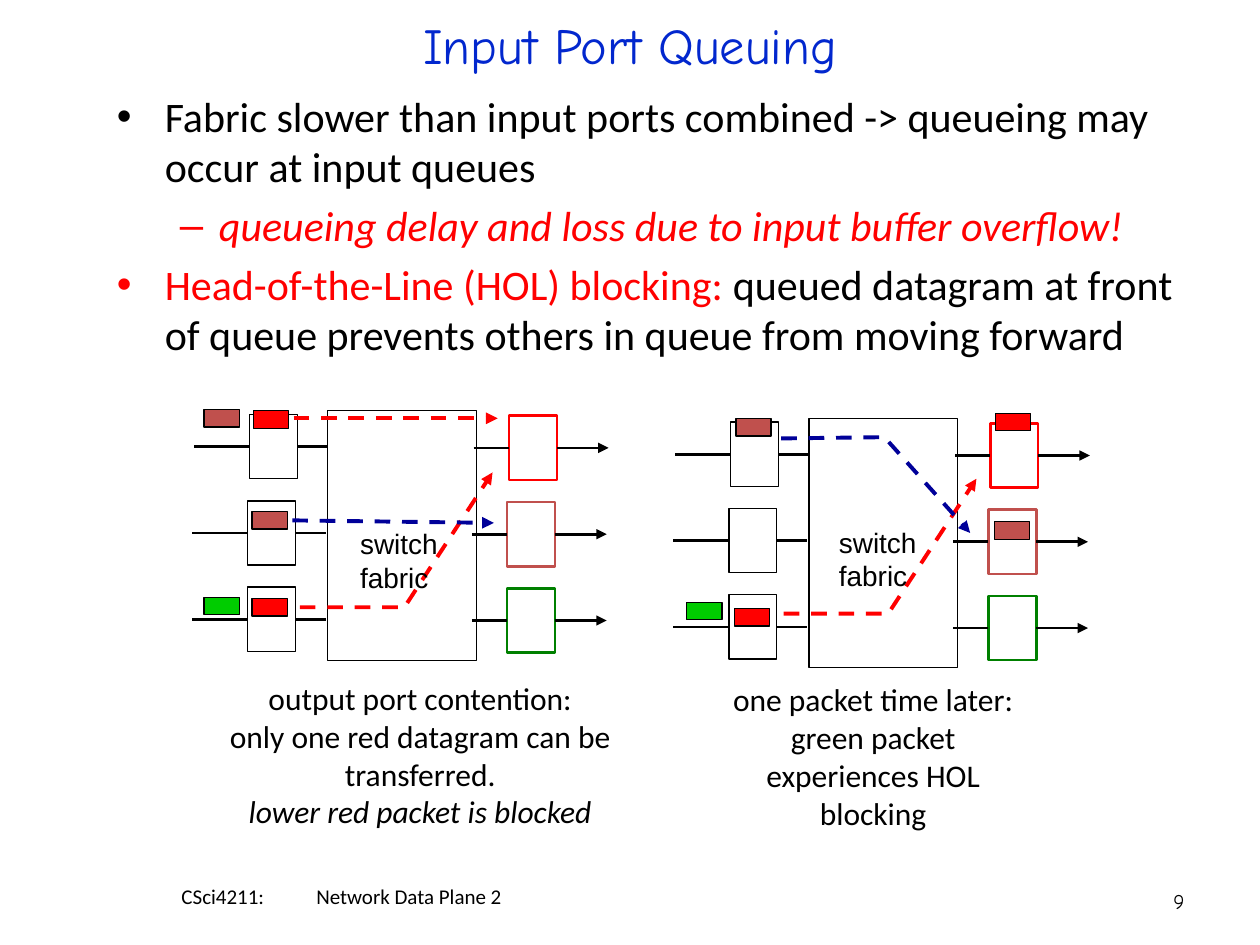
"""Build the slide on input port queuing in a packet switch."""
from typing import Any, NamedTuple

import lxml.etree
import pptx
import pptx.dml.color
import pptx.enum.dml
import pptx.enum.shapes
import pptx.enum.text
import pptx.oxml.ns
import pptx.util

RGB = pptx.dml.color.RGBColor
BLACK = RGB(0x00, 0x00, 0x00)
WHITE = RGB(0xFF, 0xFF, 0xFF)
RED = RGB(0xFF, 0x00, 0x00)
BRICK = RGB(0xC0, 0x50, 0x4D)
GREEN = RGB(0x00, 0x80, 0x00)
LIME = RGB(0x00, 0xCC, 0x00)
NAVY = RGB(0x00, 0x00, 0x99)
BLUE = RGB(0x02, 0x27, 0xCE)

COLS, ROWS = 100, 75
CELL = pptx.util.Inches(10) / COLS
PORT = (3.8, 5.1)
PACKET = (2.8, 1.4)
FABRIC = (11.8, 19.8)
PITCH = 6.85
ALIGN = pptx.enum.text.PP_ALIGN
ANCHOR = pptx.enum.text.MSO_ANCHOR
Point = tuple[float, float]


class Run(NamedTuple):
    """A stretch of text in one colour and slant."""
    text: str
    color: RGB = BLACK
    italic: bool = False


class Para(NamedTuple):
    """A paragraph with an optional bullet, indent and tab stop, in columns."""
    runs: list[Run]
    bullet: str = ""
    left: float = 0
    hang: float = 0
    tab: float = 0


class Label(NamedTuple):
    """A text box placed on the grid."""
    area: tuple[float, float, float, float]
    paras: list[Para]
    size: float
    face: str = "Calibri"
    align: Any = ALIGN.CENTER
    frame: dict[str, Any] = {}


class Packet(NamedTuple):
    """A datagram waiting at a place on the grid."""
    spot: Point
    color: RGB


class Flow(NamedTuple):
    """A dashed arrow through the given points."""
    points: list[Point]
    color: RGB


class Switch(NamedTuple):
    """A switch with its fabric corner, packets, flows and name."""
    corner: Point
    packets: list[Packet]
    flows: list[Flow]
    name: Point


def grid(*cells: float) -> list[int]:
    """Turn grid cells into slide lengths."""
    return [round(cell * CELL) for cell in cells]


def tag(parent: Any, name: str, **values: str) -> Any:
    """Add a drawing element below a parent."""
    return lxml.etree.SubElement(parent, pptx.oxml.ns.qn(name), values)


def apply(target: Any, values: dict[str, Any]) -> None:
    """Set each named value on the target."""
    for key, value in values.items():
        setattr(target, key, value)


def write(shapes: Any, label: Label) -> None:
    """Draw a text box."""
    frame = shapes.add_textbox(*grid(*label.area)).text_frame
    apply(frame, {"word_wrap": True, **label.frame})
    for index, item in enumerate(label.paras):
        para = frame.add_paragraph() if index else frame.paragraphs[0]
        para.alignment = label.align
        props = para._p.get_or_add_pPr()
        if item.bullet:
            para.space_before = pptx.util.Pt(label.size * 0.2)
            left, hang = grid(item.left, -item.hang)
            props.set("marL", str(left))
            props.set("indent", str(hang))
            tag(props, "a:buFont", typeface="Arial")
            tag(props, "a:buChar", char=item.bullet)
        if item.tab:
            stops = tag(props, "a:tabLst")
            tag(stops, "a:tab", pos=str(grid(item.tab)[0]), algn="l")
        for part in item.runs:
            run = para.add_run()
            run.text = part.text
            apply(run.font, {"size": pptx.util.Pt(label.size),
                             "name": label.face, "italic": part.italic})
            run.font.color.rgb = part.color


def block(shapes: Any, spot: Point, size: Point, fill: RGB = WHITE,
          edge: RGB = BLACK, width: float = 0.75) -> Any:
    """Draw a filled box."""
    kind = pptx.enum.shapes.MSO_SHAPE.RECTANGLE
    box = shapes.add_shape(kind, *grid(*spot, *size))
    box.shadow.inherit = False
    box.fill.solid()
    box.fill.fore_color.rgb = fill
    box.line.color.rgb = edge
    box.line.width = pptx.util.Pt(width)
    return box


def stroke(shape: Any, color: RGB, width: float, dash: bool, head: bool) -> None:
    """Style a line or an open outline."""
    line = shape.line
    line.color.rgb = color
    line.width = pptx.util.Pt(width)
    if dash:
        line.dash_style = pptx.enum.dml.MSO_LINE.DASH
    if head:
        tag(line._get_or_add_ln(), "a:tailEnd", type="triangle")


def wire(shapes: Any, start: Point, end: Point, color: RGB = BLACK,
         width: float = 1.5, dash: bool = False, head: bool = False) -> Any:
    """Draw a straight line."""
    kind = pptx.enum.shapes.MSO_CONNECTOR.STRAIGHT
    line = shapes.add_connector(kind, *grid(*start, *end))
    stroke(line, color, width, dash, head)
    tag(line._element.spPr, "a:effectLst")
    return line


def route(shapes: Any, flow: Flow) -> None:
    """Draw a dashed arrow, straight or bent."""
    if len(flow.points) == 2:
        wire(shapes, *flow.points, flow.color, 2.25, True, True)
        return
    first, *rest = [tuple(grid(*point)) for point in flow.points]
    pen = shapes.build_freeform(*first)
    pen.add_line_segments(rest, close=False)
    bend = pen.convert_to_shape()
    bend.shadow.inherit = False
    bend.fill.background()
    stroke(bend, flow.color, 2.25, True, True)


def draw(shapes: Any, switch: Switch) -> None:
    """Draw a switch with three input and three output ports."""
    left, top = switch.corner
    block(shapes, switch.corner, FABRIC)
    for row, (edge, shift) in enumerate([(RED, 0), (BRICK, -0.15), (GREEN, -0.15)]):
        x, y = left + shift, top + 0.3 + PITCH * row
        entry = block(shapes, (x - 6.2, y), PORT)
        leave = block(shapes, (x + 14.4, y + 0.1), PORT, WHITE, edge, 1.5)
        mid = y + PORT[1] / 2
        out = mid + 0.1
        wire(shapes, (x - 10.6, mid), (x - 6.2, mid)).end_connect(entry, 1)
        wire(shapes, (x - 2.4, mid), (x, mid)).begin_connect(entry, 3)
        wire(shapes, (x + 11.6, out), (x + 14.4, out)).end_connect(leave, 1)
        wire(shapes, (x + 18.2, out), (x + 22.3, out), head=True).begin_connect(leave, 3)
    for packet in switch.packets:
        block(shapes, packet.spot, PACKET, packet.color)
    for flow in switch.flows:
        route(shapes, flow)
    lines = [Para([Run("switch")]), Para([Run("fabric")])]
    write(shapes, Label((*switch.name, 8.2, 6.4), lines, 16, "Arial",
                        ALIGN.LEFT, {"word_wrap": False}))


SWITCHES = [
    Switch((26, 32.6),
           [Packet((20.1, 32.6), RED), Packet((20, 40.6), BRICK),
            Packet((20, 47.5), RED), Packet((16.2, 32.5), BRICK),
            Packet((16.2, 47.4), LIME)],
           [Flow([(23.3, 33.2), (39.5, 33.2)], RED),
            Flow([(23.8, 48.2), (32.1, 48.2), (39.1, 37.5)], RED),
            Flow([(23.2, 41.3), (39.2, 41.5)], NAVY)], (27.6, 41.3)),
    Switch((64.2, 33.2),
           [Packet((79, 32.8), RED), Packet((58.4, 33.2), BRICK),
            Packet((58.3, 48.3), RED), Packet((54.5, 47.8), LIME),
            Packet((78.9, 41.4), BRICK)],
           [Flow([(62.2, 48.7), (70.5, 48.7), (77.5, 38)], RED),
            Flow([(62, 34.8), (70.2, 34.7), (77, 42.3)], NAVY)], (65.6, 41.2)),
]

LABELS = [
    Label((7.5, 1, 85, 5), [Para([Run("Input Port Queuing", BLUE)])], 28.8,
          "Comic Neue", frame={"vertical_anchor": ANCHOR.MIDDLE}),
    Label((8.3, 6.7, 88.6, 33), [
        Para([Run("Fabric slower than input ports combined -> queueing may "
                  "occur at input queues")], "•", 3.8, 3.8),
        Para([Run("queueing delay and loss due to input buffer overflow!",
                  RED, True)], "–", 8.1, 3.1),
        Para([Run("Head-of-the-Line (HOL) blocking:", RED),
              Run(" queued datagram at front of queue prevents others in "
                  "queue from moving forward")], "•", 3.8, 3.8),
    ], 24, align=ALIGN.LEFT),
    Label((14.8, 53.4, 37.1, 13), [
        Para([Run("output port contention:")]),
        Para([Run("only one red datagram can be transferred.")]),
        Para([Run("lower red packet is blocked", italic=True)])], 18),
    Label((57.1, 53.5, 24.4, 13), [
        Para([Run("one packet time later: green packet experiences HOL "
                  "blocking")])], 18),
    Label((71.7, 69.5, 23.3, 4), [Para([Run("9")])], 12, "Comic Neue",
          ALIGN.RIGHT, {"vertical_anchor": ANCHOR.MIDDLE}),
    Label((7.5, 69.5, 39.2, 3.3),
          [Para([Run("CSci4211:\tNetwork Data Plane 2")], tab=10.7)], 12,
          align=ALIGN.LEFT, frame={"vertical_anchor": ANCHOR.MIDDLE,
                                   "margin_left": grid(6.9)[0]}),
]


def main() -> None:
    """Make and save the deck."""
    deck = pptx.Presentation()
    apply(deck, dict(zip(("slide_width", "slide_height"), grid(COLS, ROWS))))
    shapes = deck.slides.add_slide(deck.slide_layouts[6]).shapes
    for switch in SWITCHES:
        draw(shapes, switch)
    for label in LABELS:
        write(shapes, label)
    deck.save("out.pptx")


if __name__ == "__main__":
    main()
